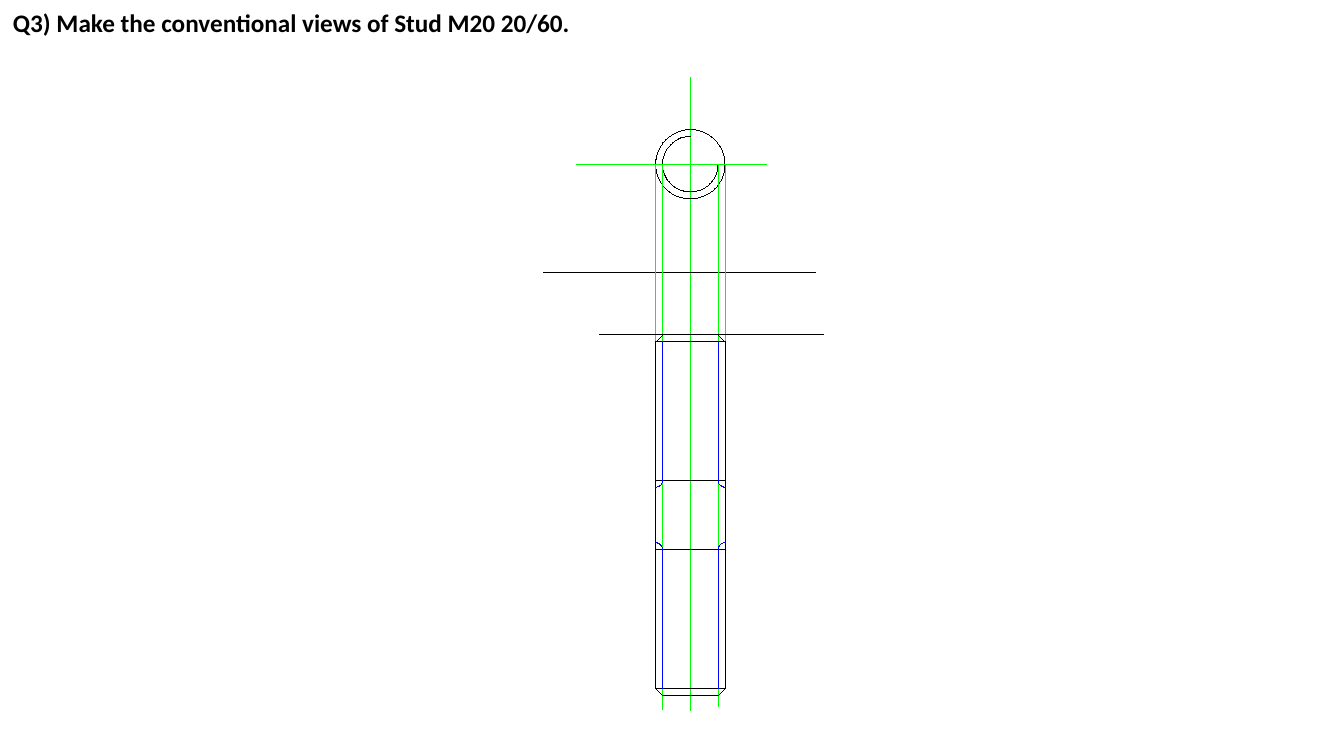
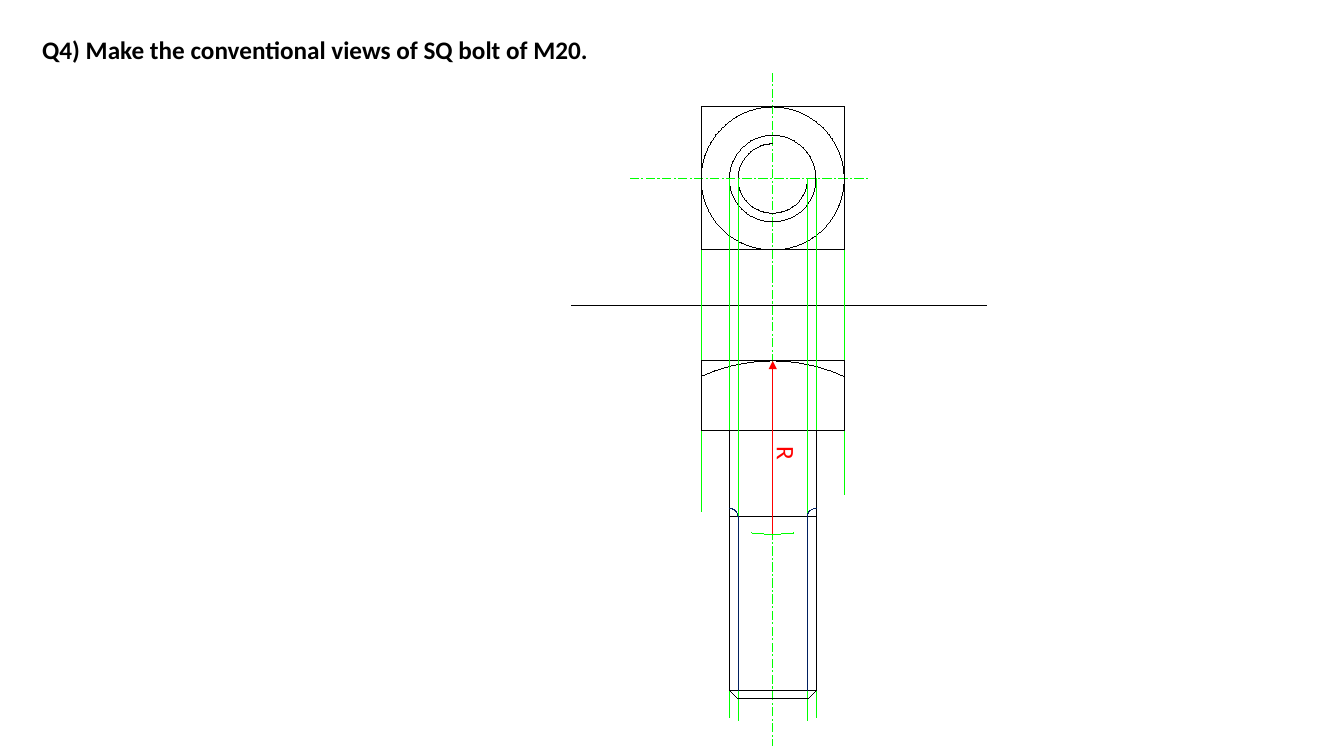
from math import ceil, cos, degrees, asin, radians, sin

from lxml import etree
from pptx import Presentation
from pptx.dml.color import RGBColor
from pptx.enum.dml import MSO_LINE
from pptx.enum.shapes import MSO_CONNECTOR, MSO_SHAPE
from pptx.enum.text import MSO_AUTO_SIZE
from pptx.oxml.ns import qn
from pptx.util import Inches, Pt

STRAIGHT = MSO_CONNECTOR.STRAIGHT
SQUARE = MSO_SHAPE.RECTANGLE
CIRCLE = MSO_SHAPE.OVAL
CENTRE_DASH = MSO_LINE.LONG_DASH_DOT
GROW = MSO_AUTO_SIZE.SHAPE_TO_FIT_TEXT

BLACK, GREEN, BLUE, NAVY, RED = "000000", "00FF00", "0000FF", "002060", "FF0000"
FONT = "Calibri"
CELL = 0.1
ARC_STEP = 5
BLANK = 6


def rgb(code):
    return RGBColor.from_string(code)


def grid(*cells):
    return [Inches(cell * CELL) for cell in cells]


class Sheet:
    def __init__(self, deck, axis, diameter, root_color):
        self.slide = deck.slides.add_slide(deck.slide_layouts[BLANK])
        self.shapes = self.slide.shapes
        self.axis = axis
        self.diameter = diameter
        self.major = diameter / 2
        self.minor = diameter * 0.4
        self.chamfer = diameter / 10
        self.root_color = root_color

    def stroke(self, item, color, width=0, dash=None):
        item.line.color.rgb = rgb(color)
        if dash:
            item.line.dash_style = dash
        outline = item.element.spPr.find(qn("a:ln"))
        outline.set("w", str(Pt(width)))
        return outline

    def text(self, content, left, top, width, color=BLACK, bold=False, rotation=0):
        box = self.shapes.add_textbox(*grid(left, top, width, 4))
        box.rotation = rotation
        frame = box.text_frame
        frame.word_wrap = True
        frame.auto_size = GROW
        paragraph = frame.paragraphs[0]
        paragraph.text = content
        font = paragraph.font
        font.name, font.size, font.bold = FONT, Pt(18), bold
        font.color.rgb = rgb(color)

    def title(self, content, left, top):
        self.text(content, left, top, 130.1, bold=True)

    def line(self, x1, y1, x2, y2, color=BLACK, dash=None, width=0, arrow_to=None):
        edge = self.shapes.add_connector(STRAIGHT, *grid(x1, y1, x2, y2))
        if arrow_to:
            edge.end_connect(arrow_to, 0)
        outline = self.stroke(edge, color, width, dash)
        if arrow_to:
            etree.SubElement(outline, qn("a:tailEnd"), type="triangle")
        etree.SubElement(edge.element.spPr, qn("a:effectLst"))

    def level(self, row, half_width):
        self.line(self.axis - half_width, row, self.axis + half_width, row)

    def outline(self, kind, top, width, height):
        figure = self.shapes.add_shape(
            kind, *grid(self.axis - width / 2, top, width, height))
        figure.shadow.inherit = False
        figure.fill.background()
        self.stroke(figure, BLACK)
        return figure

    def arc(self, x, y, radius, start, end, color=BLACK):
        steps = ceil(abs(end - start) / ARC_STEP)
        angles = [radians(start + (end - start) * i / steps) for i in range(steps + 1)]
        points = [grid(x + radius * cos(a), y + radius * sin(a)) for a in angles]
        builder = self.shapes.build_freeform(*points[0], scale=1.0)
        builder.add_line_segments(points[1:], close=False)
        curve = builder.convert_to_shape()
        curve.shadow.inherit = False
        curve.fill.background()
        self.stroke(curve, color)

    def thread_plan(self, row):
        self.outline(CIRCLE, row - self.major, self.diameter, self.diameter)
        self.arc(self.axis, row, self.minor, 270, 0)

    def projectors(self, half_width, top, left_end, right_end):
        for side, end in ((-1, left_end), (1, right_end)):
            x = self.axis + side * half_width
            self.line(x, top, x, end, GREEN)

    def thread(self, start, end, runout, outward):
        self.level(runout, self.major)
        for side in (-1, 1):
            root = self.axis + side * self.minor
            self.line(root, start, root, end, self.root_color)
            inward = 180 if side > 0 else 0
            self.arc(self.axis + side * self.major, runout, self.chamfer,
                     inward, inward + 90 * side * outward, self.root_color)

    def sides(self, top, bottom):
        for side in (-1, 1):
            x = self.axis + side * self.major
            self.line(x, top, x, bottom)

    def chamfered_end(self, row, tip):
        self.level(row, self.major)
        self.level(tip, self.minor)
        for side in (-1, 1):
            self.line(self.axis + side * self.major, row,
                      self.axis + side * self.minor, tip)


def draw_stud(deck):
    sheet = Sheet(deck, 68.47, 6.88, BLUE)
    axis, d = sheet.axis, sheet.diameter
    plan, top = 16.28, 33.19
    upper_start = top + sheet.chamfer
    upper_end = upper_start + 2 * d
    lower_start = upper_end + d
    lower_end = lower_start + 2 * d

    sheet.title("Q3) Make the conventional views of Stud M20 20/60.", 0.3, 0.2)
    sheet.line(axis, 7.7, axis, 70.5, GREEN)
    sheet.line(57.2, plan, 76, plan, GREEN)
    sheet.thread_plan(plan)
    sheet.line(53.9, 27, 80.9, 27)
    sheet.projectors(sheet.major, plan, 53.5, 53.5)
    sheet.projectors(sheet.minor, plan, 70.4, 70.1)
    sheet.line(59.5, top, 81.7, top)
    sheet.sides(upper_start, lower_end)
    sheet.chamfered_end(upper_start, top)
    sheet.chamfered_end(lower_end, lower_end + sheet.chamfer)
    sheet.thread(upper_start, upper_end, upper_end, -1)
    sheet.thread(lower_start, lower_end, lower_start, 1)


def draw_bolt(deck):
    sheet = Sheet(deck, 76.64, 8.6, NAVY)
    axis, d = sheet.axis, sheet.diameter
    plan, head_top = 17.71, 35.8
    head_width = 1.65 * d
    head_bottom = head_top + 0.8 * d
    thread_start = head_bottom + d
    thread_end = thread_start + 2 * d
    crown = 2 * d
    crown_centre = head_top + crown
    crown_angle = degrees(asin(head_width / 2 / crown))

    sheet.title("Q4) Make the conventional views of SQ bolt of M20.", 3.2, 2.9)
    sheet.outline(SQUARE, plan - head_width / 2, head_width, head_width)
    for end in (7, 74):
        sheet.line(axis, 27.2, axis, end, GREEN, CENTRE_DASH)
    sheet.line(62.5, plan, 86, plan, GREEN, CENTRE_DASH)
    sheet.outline(CIRCLE, plan - head_width / 2, head_width, head_width)
    sheet.thread_plan(plan)
    sheet.line(56.7, 30.3, 97.8, 30.3)
    sheet.projectors(head_width / 2, plan + head_width / 2, 50.7, 49.1)
    head = sheet.outline(SQUARE, head_top, head_width, head_bottom - head_top)
    sheet.arc(axis, head_top, crown, 97, 83, GREEN)
    sheet.arc(axis, crown_centre, crown, 270 + crown_angle, 270 - crown_angle)
    sheet.projectors(sheet.major, plan, 71.2, 71.2)
    sheet.projectors(sheet.minor, plan, 71.5, 71.5)
    sheet.sides(head_bottom, thread_end)
    sheet.chamfered_end(thread_end, thread_end + sheet.chamfer)
    sheet.thread(thread_start, thread_end, thread_start, 1)
    sheet.line(axis, crown_centre, axis, head_top, RED, width=0.5, arrow_to=head)
    sheet.text("R", axis, 42.7, 2.8, RED, rotation=90)


def main():
    deck = Presentation()
    deck.slide_width, deck.slide_height = Inches(13.33), Inches(7.5)
    draw_stud(deck)
    draw_bolt(deck)
    deck.save("out.pptx")


if __name__ == "__main__":
    main()
